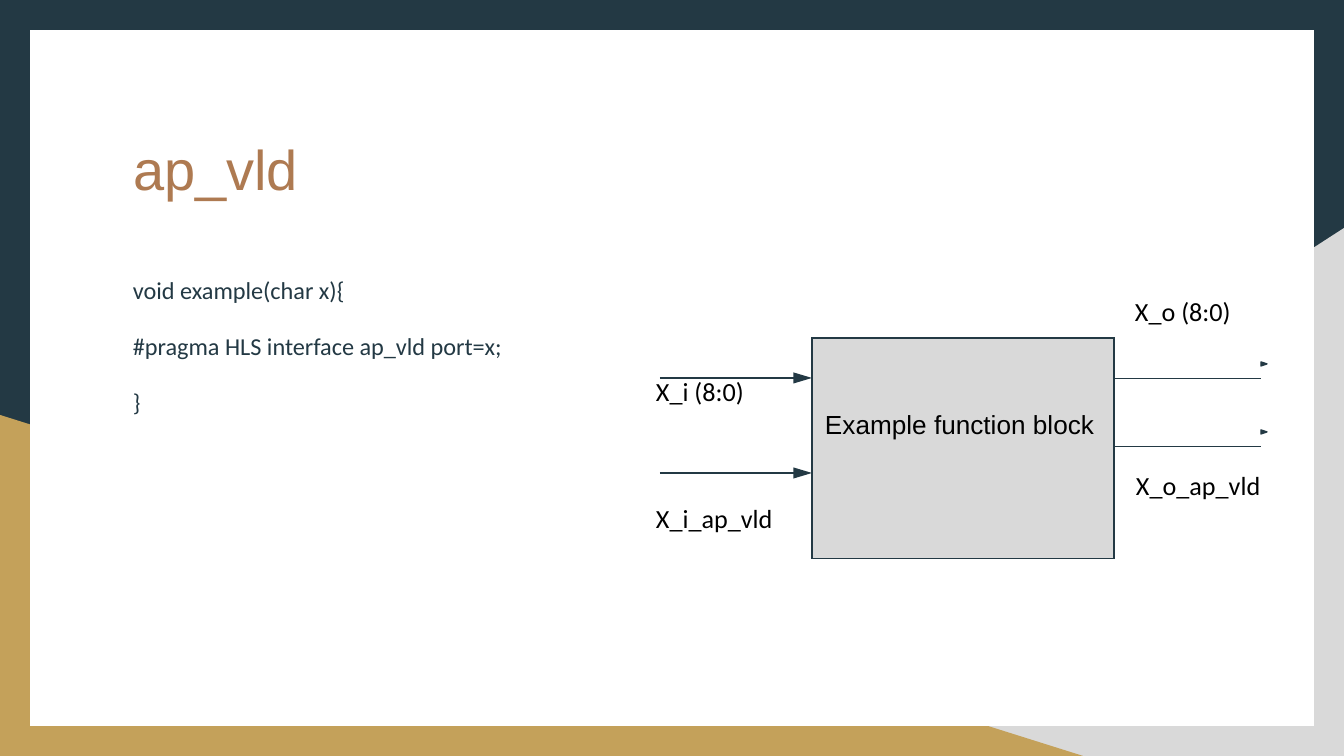
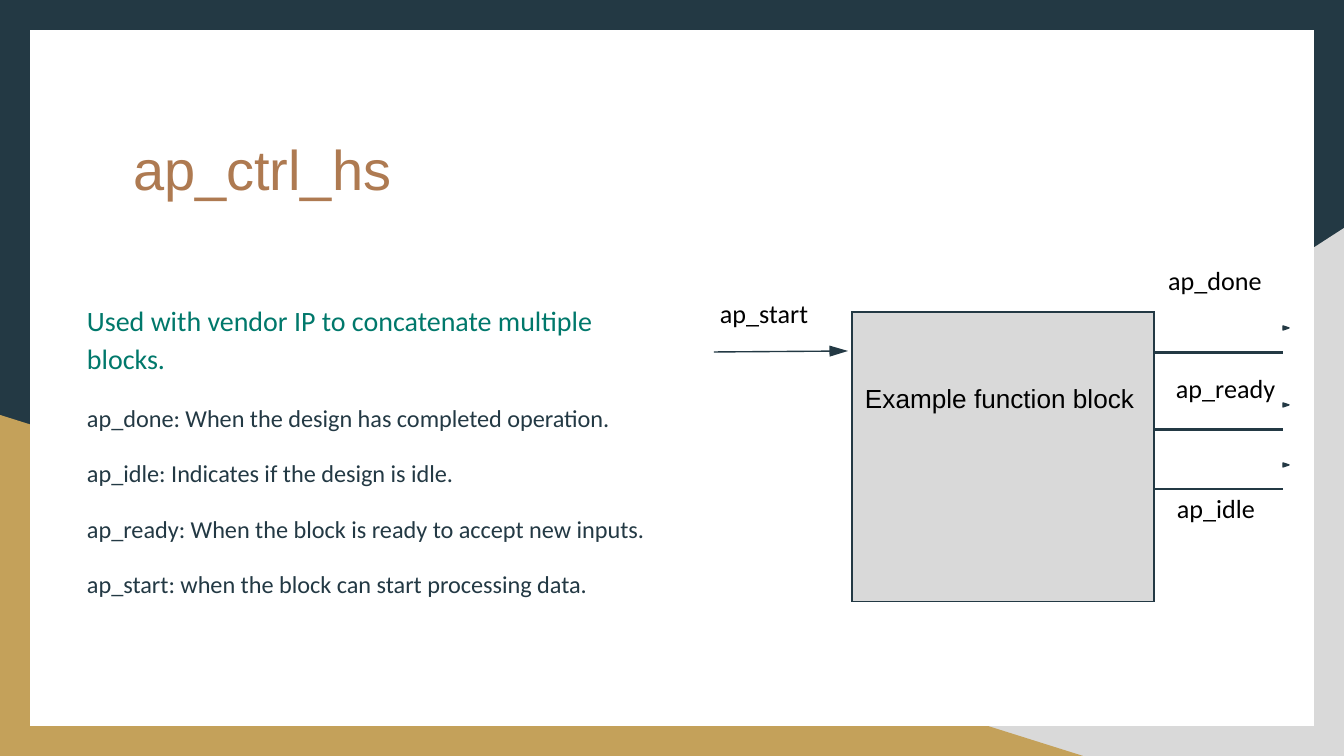
from itertools import accumulate

from lxml.etree import SubElement
from pptx import Presentation
from pptx.dml.color import RGBColor
from pptx.enum.shapes import MSO_CONNECTOR as Connector
from pptx.enum.text import MSO_ANCHOR as Anchor, MSO_AUTO_SIZE as AutoSize, PP_ALIGN as Align
from pptx.oxml.ns import qn
from pptx.util import Pt

PX = 914400 / 134.4
WIDTH, HEIGHT = 1344, 756
COLORS = {
    "navy": "233944",
    "gray": "D9D9D9",
    "gold": "C4A15A",
    "white": "FFFFFF",
    "copper": "AE7A51",
    "teal": "00786B",
    "black": "000000",
}
BLOCK_WIDTH = 302
LINE_HEIGHT = 32


def px(value):
    return round(value * PX)


def rgb(name):
    return RGBColor.from_string(COLORS[name])


# Text
def write_text(frame, lines, size=14, color="black", font="Calibri", spacing=None, gap=0):
    for index, line in enumerate(lines):
        paragraph = frame.paragraphs[0] if index == 0 else frame.add_paragraph()
        paragraph.alignment = Align.LEFT
        if spacing:
            paragraph.line_spacing = spacing
        if index:
            paragraph.space_before = Pt(gap)
        run = paragraph.add_run()
        run.text = line
        run.font.size = Pt(size)
        run.font.name = font
        run.font.color.rgb = rgb(color)


def set_margins(holder, left=0, top=0):
    holder.margin_left, holder.margin_top = px(left), px(top)
    holder.margin_right = holder.margin_bottom = 0


def add_text(slide, box, *lines, wrap=False, **text_format):
    frame = slide.shapes.add_textbox(*map(px, box)).text_frame
    frame.word_wrap = wrap
    set_margins(frame, 1, 1)
    write_text(frame, lines, **text_format)


def set_title(slide, text):
    title = slide.shapes.title
    title.left, title.top, title.width, title.height = map(px, (132, 66, 1005, 137))
    frame = title.text_frame
    frame.word_wrap = True
    frame.auto_size = AutoSize.NONE
    frame.vertical_anchor = Anchor.TOP
    set_margins(frame, 1, 69)
    write_text(frame, [text], size=30, color="copper", font="Arial")


# Outlines and lines
def add_polygon(slide, points, color):
    builder = slide.shapes.build_freeform(*points[0], scale=PX)
    builder.add_line_segments(points[1:], close=True)
    shape = builder.convert_to_shape()
    shape.shadow.inherit = False
    shape.fill.solid()
    shape.fill.fore_color.rgb = rgb(color)
    shape.line.fill.background()
    return shape


def add_arrow(slide, start, end):
    arrow = slide.shapes.add_connector(Connector.STRAIGHT, *map(px, start + end))
    arrow.line.width = Pt(0.75)
    arrow.line.color.rgb = rgb("navy")
    SubElement(arrow.line._get_or_add_ln(), qn("a:tailEnd"), type="triangle", w="med", len="lg")
    SubElement(arrow.element.spPr, qn("a:effectLst"))


def add_arrowhead(slide, left, middle):
    head = add_polygon(slide, [(left, middle - 2), (left + 6, middle), (left, middle + 2)], "navy")
    head.line.width = Pt(0.75)
    head.line.color.rgb = rgb("navy")


# Shared backdrop, kept on the layout
def move_backdrop_to_layout(slide):
    layout = slide.slide_layout
    for placeholder in list(layout.placeholders):
        if placeholder.placeholder_format.idx != 0:
            layout.shapes.element.remove(placeholder.element)
    panels = [
        ([(0, 0), (WIDTH, 0), (WIDTH, HEIGHT), (0, HEIGHT)], "navy"),
        ([(WIDTH, HEIGHT), (527, HEIGHT), (WIDTH, 228)], "gray"),
        ([(1083, HEIGHT), (0, HEIGHT), (0, 415)], "gold"),
        ([(30, 30), (1314, 30), (1314, 726), (30, 726)], "white"),
    ]
    for index, (points, color) in enumerate(panels, start=2):
        panel = add_polygon(slide, points, color)
        layout.shapes.element.insert(index, panel.element)


# Block table: a merged block on the left, ruled output rows on the right
def format_cell(cell, color, borders):
    cell.fill.solid()
    cell.fill.fore_color.rgb = rgb(color)
    properties = cell._tc.get_or_add_tcPr()
    for index, side in enumerate("LRTB"):
        width = borders.get(side, 0)
        line = SubElement(properties, qn(f"a:ln{side}"), w=str(Pt(width)))
        if width:
            fill = SubElement(line, qn("a:solidFill"))
            SubElement(fill, qn("a:srgbClr"), val=COLORS["navy"])
        else:
            SubElement(line, qn("a:noFill"))
        properties.insert(index, line)
    set_margins(cell)


def add_block(slide, left, top, rows, output_width, rule):
    size = (BLOCK_WIDTH + output_width, sum(rows))
    table = slide.shapes.add_table(len(rows), 2, *map(px, (left, top) + size)).table
    table.first_row = table.horz_banding = False
    table.columns[0].width, table.columns[1].width = px(BLOCK_WIDTH), px(output_width)
    for index, height in enumerate(rows):
        table.rows[index].height = px(height)
        format_cell(table.cell(index, 0), "gray", dict.fromkeys("LRTB", 0.75))
        borders = {"L": 0.75}
        if index > 0:
            borders["T"] = rule
        if index < len(rows) - 1:
            borders["B"] = rule
        format_cell(table.cell(index, 1), "white", borders)
    block = table.cell(0, 0)
    block.merge(table.cell(len(rows) - 1, 0))
    set_margins(block, 13, 73)
    write_text(block.text_frame, ["Example function block"], font="Arial")
    return table


def add_diagram(slide, left, top, rows, output_width, rule, head_rise, inputs, labels, row_label):
    table = add_block(slide, left, top, rows, output_width, rule)
    row, text, margin = row_label
    cell = table.cell(row, 1)
    set_margins(cell, 22, margin)
    write_text(cell.text_frame, [text])
    for x1, y1, x2, y2 in inputs:
        add_arrow(slide, (left + x1, top + y1), (left + x2, top + y2))
    for line in list(accumulate(rows))[:-1]:
        add_arrowhead(slide, left + BLOCK_WIDTH + output_width, top + line - head_rise)
    for x, y, width, label in labels:
        add_text(slide, (left + x, top + y, width, LINE_HEIGHT), label)


# Slides
def fill_valid_slide(slide):
    set_title(slide, "ap_vld")
    code = ["void example(char x){", "#pragma HLS interface ap_vld port=x;", "}"]
    for index, line in enumerate(code):
        add_text(slide, (132, 274 + 56 * index, 374, LINE_HEIGHT), line, size=13, color="navy")
    add_diagram(
        slide, 812, 338, rows=[39, 68, 112], output_width=147, rule=0.75, head_rise=13,
        inputs=[(-152, 40, 0, 40), (-152, 135, 0, 135)],
        labels=[
            (-157, 36, 91, "X_i (8:0)"),
            (-157, 163, 120, "X_i_ap_vld"),
            (322, -44, 99, "X_o (8:0)"),
        ],
        row_label=(2, "X_o_ap_vld", 24),
    )


def fill_handshake_slide(slide):
    set_title(slide, "ap_ctrl_hs")
    add_text(slide, (86, 297, 507, 81), "Used with vendor IP to concatenate multiple blocks.",
             wrap=True, size=15, color="teal", spacing=1.15)
    signals = [
        ("ap_done: When the design has completed operation.",
         "ap_idle: Indicates if the design is idle."),
        ("ap_ready: When the block is ready to accept new inputs.",
         "ap_start: when the block can start processing data."),
    ]
    for index, pair in enumerate(signals):
        add_text(slide, (86, 402 + 111 * index, 562, 89), *pair, size=13, color="navy", gap=14)
    add_diagram(
        slide, 852, 312, rows=[39, 77, 60, 112], output_width=129, rule=1.5, head_rise=23,
        inputs=[(-138, 40, -4, 39)],
        labels=[
            (-133, -16, 91, "ap_start"),
            (315, -49, 97, "ap_done"),
            (324, 179, 82, "ap_idle"),
        ],
        row_label=(1, "ap_ready", 21),
    )


def main():
    presentation = Presentation()
    presentation.slide_width, presentation.slide_height = px(WIDTH), px(HEIGHT)
    title_only = presentation.slide_layouts[5]
    for index, fill_slide in enumerate([fill_valid_slide, fill_handshake_slide]):
        slide = presentation.slides.add_slide(title_only)
        if index == 0:
            move_backdrop_to_layout(slide)
        fill_slide(slide)
    presentation.save("out.pptx")


if __name__ == "__main__":
    main()
